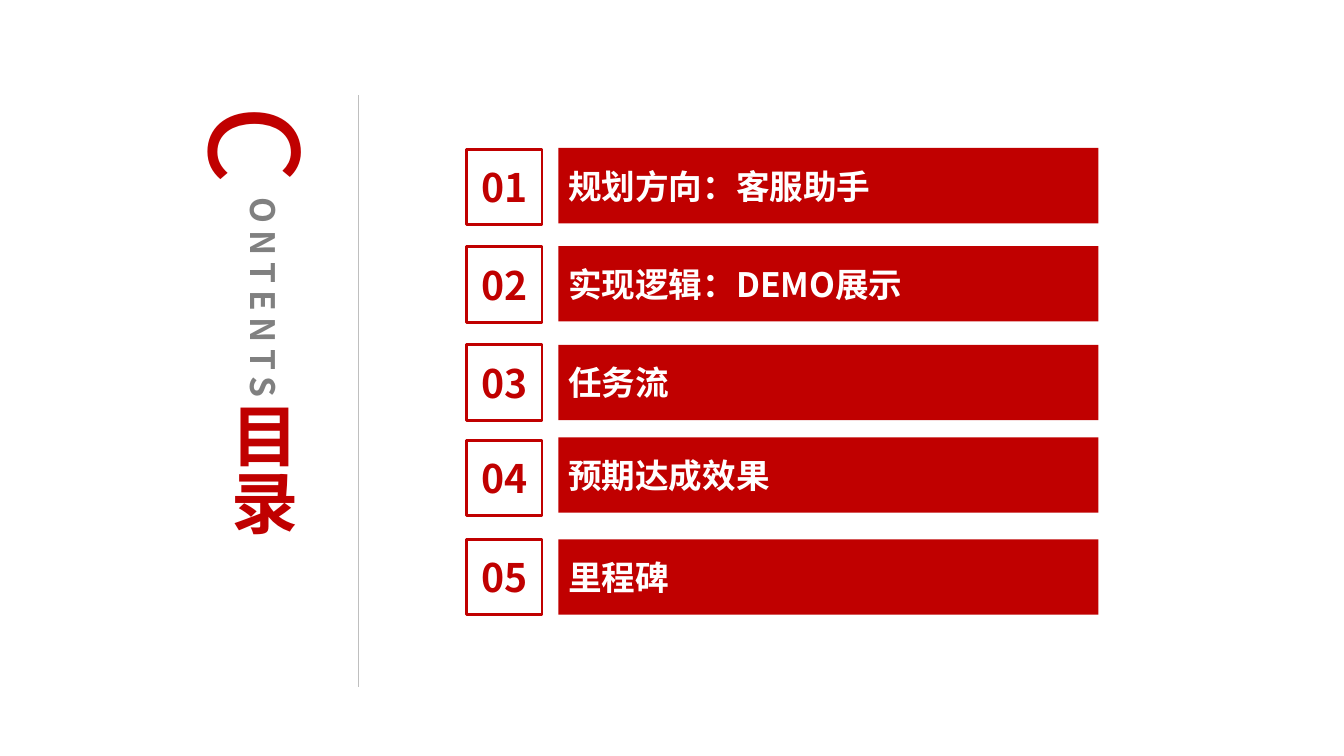
import pptx
import pptx.dml.color
import pptx.enum.shapes
import pptx.enum.text
import pptx.oxml.ns
import pptx.util
import lxml.etree

Cm = pptx.util.Cm
Pt = pptx.util.Pt
ANCHOR = pptx.enum.text.MSO_ANCHOR
ALIGN = pptx.enum.text.PP_ALIGN
RECTANGLE = pptx.enum.shapes.MSO_SHAPE.RECTANGLE
FONT = "Noto Sans CJK SC"
COLORS = {"red": "C00000", "gray": "808080", "rule": "BFBFBF", "white": "FFFFFF"}


def rgb(name):
    return pptx.dml.color.RGBColor.from_string(COLORS[name])


def write(shape, text, size, color, bold=True, align=ALIGN.LEFT, anchor=ANCHOR.MIDDLE):
    frame = shape.text_frame
    frame.text = text
    frame.word_wrap = True
    frame.vertical_anchor = anchor
    for paragraph in frame.paragraphs:
        paragraph.alignment = align
        for run in paragraph.runs:
            run.font.name = FONT
            run.font.size = Pt(size)
            run.font.bold = bold
            run.font.color.rgb = rgb(color)
            properties = run.font._element
            properties.set("lang", "zh-CN")
            east_asian = lxml.etree.SubElement(properties, pptx.oxml.ns.qn("a:ea"))
            east_asian.set("typeface", FONT)
    return frame


presentation = pptx.Presentation()
presentation.slide_width = Cm(33.87)
presentation.slide_height = Cm(19.05)
slide = presentation.slides.add_slide(presentation.slide_layouts[6])
shapes = slide.shapes

divider = shapes.add_connector(
    pptx.enum.shapes.MSO_CONNECTOR.STRAIGHT, Cm(9.04), Cm(2.4), Cm(9.04), Cm(17.3))
divider.line.color.rgb = rgb("rule")
divider.line.width = Pt(1)
lxml.etree.SubElement(divider._element.spPr, pptx.oxml.ns.qn("a:effectLst"))

initial = shapes.add_textbox(Cm(5.05), Cm(2.4), Cm(2.92), Cm(3.3))
initial_frame = write(initial, "C", 88, "red", bold=False)

heading = shapes.add_textbox(Cm(5.59), Cm(9.88), Cm(1.93), Cm(4.17))
heading_frame = write(heading, "目\n录", 48, "red", align=ALIGN.CENTER)
for paragraph in heading_frame.paragraphs:
    paragraph.line_spacing = 0.83

contents = shapes.add_textbox(Cm(5.59), Cm(4.72), Cm(1.7), Cm(6.15))
contents_frame = write(contents, "ONTENTS", 24, "gray", anchor=ANCHOR.TOP)
contents_frame.paragraphs[0].runs[0].font._element.set("spc", "500")

for frame in (initial_frame, contents_frame):
    frame._txBody.bodyPr.set("vert", "eaVert")

box_size = Cm(1.9)
entries = [
    ("规划方向：客服助手", 3.76, 3.73),
    ("实现逻辑：DEMO展示", 6.22, 6.2),
    ("任务流", 8.69, 8.69),
    ("预期达成效果", 11.1, 11.02),
    ("里程碑", 13.59, 13.59),
]
for number, (title, box_top, bar_top) in enumerate(entries, 1):
    box = shapes.add_shape(RECTANGLE, Cm(11.76), Cm(box_top), box_size, box_size)
    box.shadow.inherit = False
    box.fill.background()
    box.line.color.rgb = rgb("red")
    box.line.width = Pt(2)
    box_frame = write(box, f"{number:02d}", 28, "red", align=ALIGN.CENTER)
    box_frame.margin_left = box_frame.margin_right = 0
    box_frame.margin_top = box_frame.margin_bottom = 0

    bar = shapes.add_shape(RECTANGLE, Cm(14.07), Cm(bar_top), Cm(13.61), box_size)
    bar.shadow.inherit = False
    bar.fill.solid()
    bar.fill.fore_color.rgb = rgb("red")
    bar.line.fill.background()
    write(bar, title, 24, "white")

presentation.save("out.pptx")
